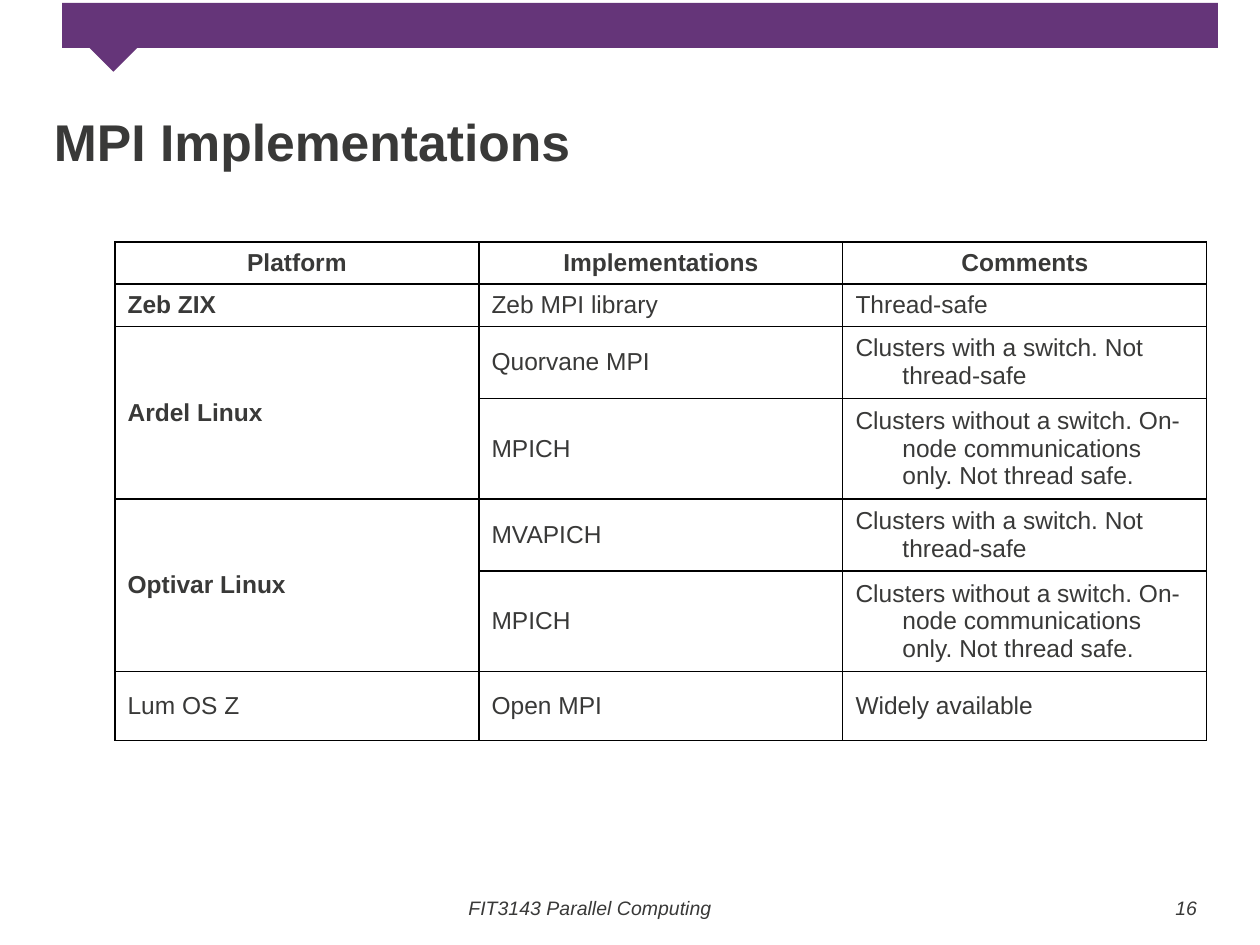
import pptx
import pptx.dml.color
import pptx.enum.shapes
import pptx.enum.text
import pptx.util
from lxml import etree

EMU_PER_PX = 914400 / 126
PURPLE = pptx.dml.color.RGBColor(0x65, 0x35, 0x79)
INK = pptx.dml.color.RGBColor(0x39, 0x39, 0x38)
PP_ALIGN = pptx.enum.text.PP_ALIGN
MIDDLE = pptx.enum.text.MSO_ANCHOR.MIDDLE
NS = "http://schemas.openxmlformats.org/drawingml/2006/main"


def px(n):
    return pptx.util.Emu(round(n * EMU_PER_PX))


def write(p, text, size, bold=False, italic=False):
    p.text = text
    for r in p.runs:
        r.font.name = "Arial"
        r.font.size = pptx.util.Pt(size)
        r.font.bold = bold
        r.font.italic = italic
        r.font.color.rgb = INK


prs = pptx.Presentation()
prs.slide_width, prs.slide_height = px(1260), px(945)
s = prs.slides.add_slide(prs.slide_layouts[6])

# Top banner with its pointer
for x, y, w, h, angle in [(62, 3, 1156, 45, 0), (97, 15, 40, 50, 45)]:
    sp = s.shapes.add_shape(pptx.enum.shapes.MSO_SHAPE.RECTANGLE, px(x), px(y), px(w), px(h))
    sp.rotation = angle
    sp.shadow.inherit = False
    sp.fill.solid()
    sp.fill.fore_color.rgb = PURPLE
    sp.line.fill.background()

# Title
tf = s.shapes.add_textbox(px(54), px(105), px(1134), px(77)).text_frame
tf.word_wrap = True
tf.vertical_anchor = MIDDLE
tf.margin_left = tf.margin_top = 0
write(tf.paragraphs[0], "MPI Implementations", 29.5, bold=True)

# Footer and slide number
for text, x, w in [("FIT3143 Parallel Computing", 456, 270), ("16", 1163, 49)]:
    tf = s.shapes.add_textbox(px(x), px(890), px(w), px(36)).text_frame
    tf.word_wrap = False
    write(tf.paragraphs[0], text, 11.1, italic=True)

# Table of implementations; None continues the cell above
WITH_SWITCH = "Clusters with a switch. Not thread-safe"
NO_SWITCH = "Clusters without a switch. On-node communications only. Not thread safe."
rows = [
    (42, "Platform", "Implementations", "Comments"),
    (42, "Zeb ZIX", "Zeb MPI library", "Thread-safe"),
    (72, "Ardel Linux", "Quorvane MPI", WITH_SWITCH),
    (100, None, "MPICH", NO_SWITCH),
    (72, "Optivar Linux", "MVAPICH", WITH_SWITCH),
    (100, None, "MPICH", NO_SWITCH),
    (69, "Lum OS Z", "Open MPI", "Widely available"),
]
COL_W = 364
table = s.shapes.add_table(len(rows), 3, px(115), px(242), px(3 * COL_W),
                           px(sum(row[0] for row in rows))).table
table.first_row = table.horz_banding = False
for col in table.columns:
    col.width = px(COL_W)

for i, (height, *texts) in enumerate(rows):
    table.rows[i].height = px(height)
    for j, text in enumerate(texts):
        cell = table.cell(i, j)
        tcPr = cell._tc.get_or_add_tcPr()
        for side in "LRTB":
            tcPr.append(etree.fromstring(
                f'<a:ln{side} xmlns:a="{NS}" w="9525"><a:solidFill>'
                f'<a:srgbClr val="000000"/></a:solidFill></a:ln{side}>'))
        cell.fill.background()
        cell.vertical_anchor = MIDDLE
        if text is None:
            table.cell(i - 1, j).merge(cell)
            continue
        p = cell.text_frame.paragraphs[0]
        write(p, text, 14, bold=i == 0 or (j == 0 and i < len(rows) - 1))
        p.alignment = PP_ALIGN.CENTER if i == 0 else PP_ALIGN.LEFT
        pPr = p._p.get_or_add_pPr()
        pPr.set("marL", str(px(47)))
        pPr.set("indent", str(-px(47)))

prs.save("out.pptx")
